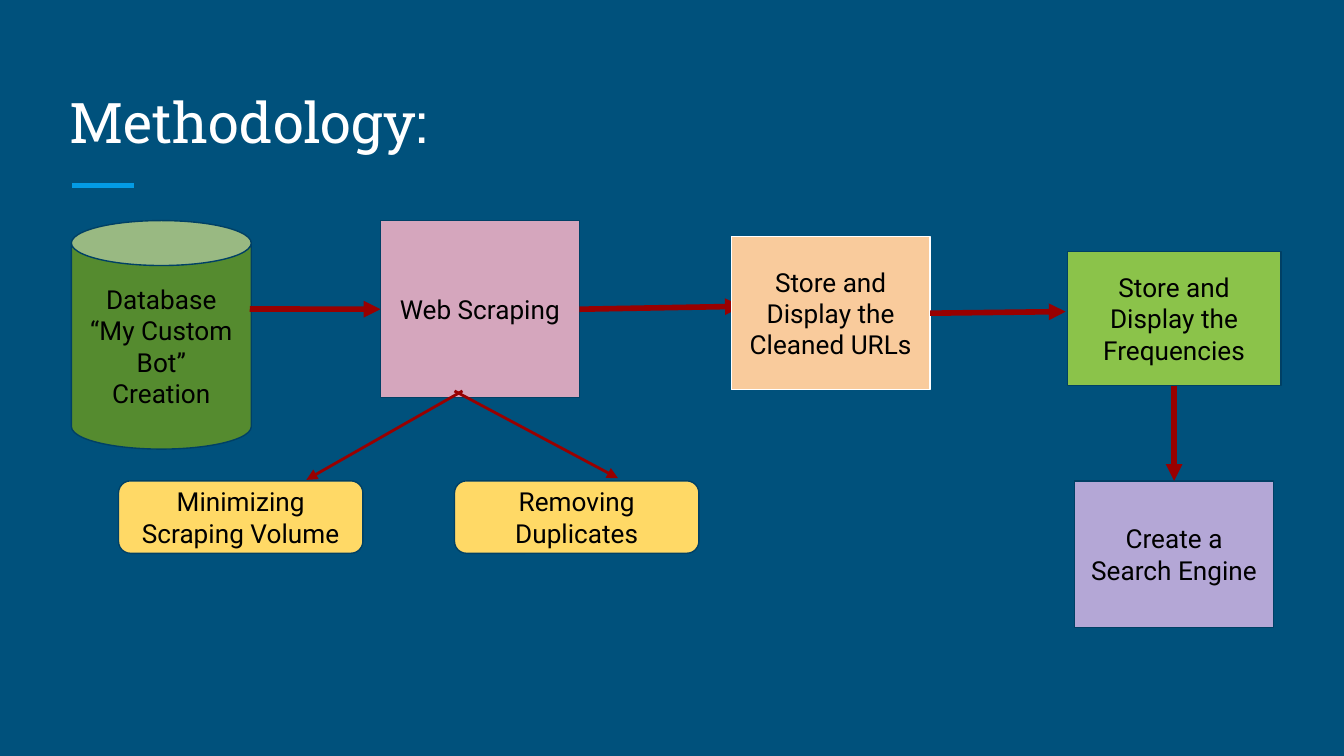
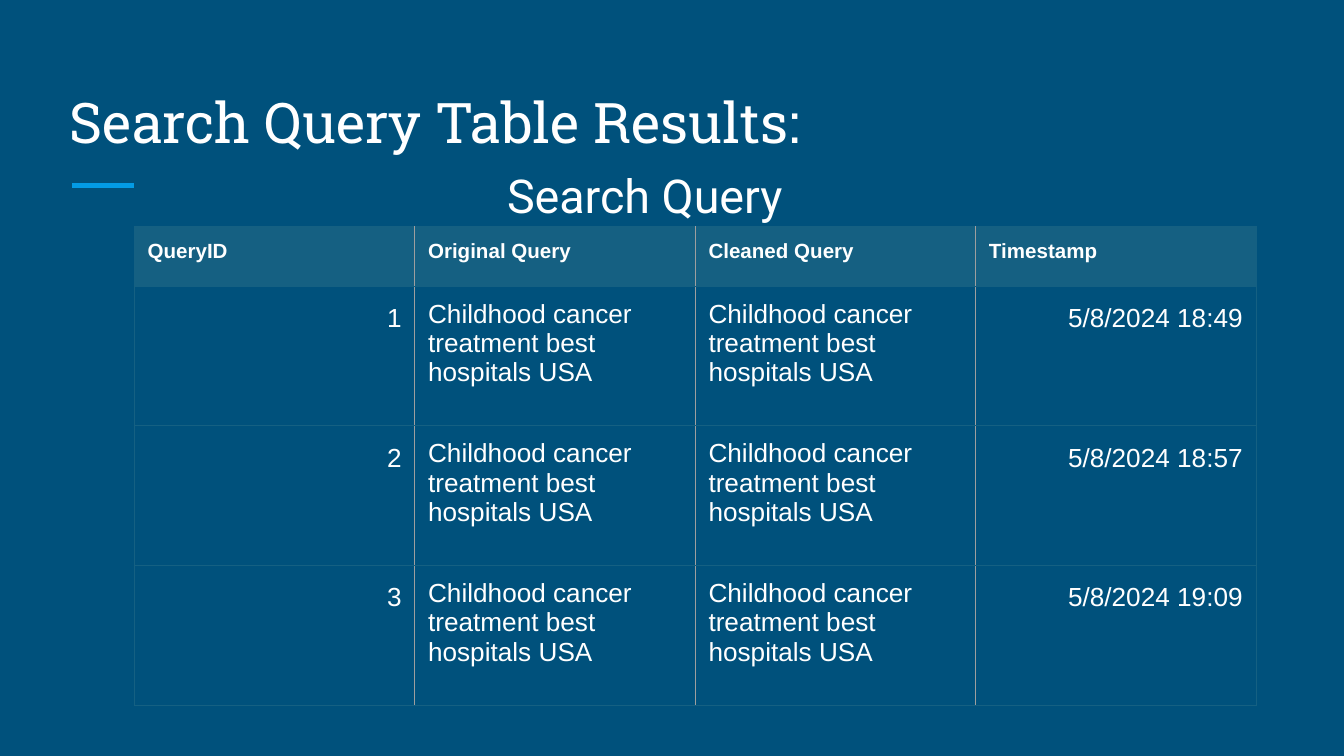
from dataclasses import dataclass

from lxml import etree
from pptx import Presentation
from pptx.dml.color import RGBColor
from pptx.enum.shapes import MSO_CONNECTOR, MSO_SHAPE
from pptx.enum.text import MSO_ANCHOR, MSO_AUTO_SIZE, PP_ALIGN
from pptx.oxml.ns import qn
from pptx.util import Cm, Pt

RECT, ROUND, CAN = MSO_SHAPE.RECTANGLE, MSO_SHAPE.ROUNDED_RECTANGLE, MSO_SHAPE.CAN
STRAIGHT = MSO_CONNECTOR.STRAIGHT
LEFT, CENTER, RIGHT = PP_ALIGN.LEFT, PP_ALIGN.CENTER, PP_ALIGN.RIGHT
TOP, MIDDLE, BOTTOM = MSO_ANCHOR.TOP, MSO_ANCHOR.MIDDLE, MSO_ANCHOR.BOTTOM
NO_FIT = MSO_AUTO_SIZE.NONE
TOP_SIDE, LEFT_SIDE, LOW_SIDE, RIGHT_SIDE = range(4)


@dataclass(frozen=True)
class Theme:
    back: str = "00517C"
    accent: str = "039BE5"
    light: str = "FFFFFF"
    dark: str = "000000"
    edge: str = "004065"
    arrow: str = "980000"
    pink: str = "D5A6BD"
    green: str = "558B2F"
    lime: str = "8BC34A"
    yellow: str = "FFD966"
    peach: str = "F9CB9C"
    purple: str = "B4A7D6"
    head: str = "156082"
    rule: str = "9E9E9E"
    serif: str = "Roboto Slab"
    sans: str = "Roboto"
    grid: str = "Arial"
    title: int = 30
    caption: int = 25
    body: int = 14
    label: int = 11


THEME = Theme()
PAD = Cm(0.25)


def rgb(code):
    return RGBColor.from_string(code)


def apply(target, form):
    for name, value in form.items():
        setattr(target, name, value)


def write(frame, text, font, size, color, align=LEFT, anchor=TOP):
    apply(frame, {"word_wrap": True, "auto_size": NO_FIT, "vertical_anchor": anchor,
                  "margin_left": PAD, "margin_right": PAD,
                  "margin_top": PAD, "margin_bottom": PAD})
    style(frame, text, font, size, color, align)


def style(frame, text, font, size, color, align, bold=False, gap=1.0):
    """Fill the first paragraph of a frame and format it."""
    frame.text = text
    para = frame.paragraphs[0]
    apply(para, {"alignment": align, "line_spacing": gap})
    apply(para.font, {"name": font, "size": Pt(size), "bold": bold})
    para.font.color.rgb = rgb(color)


def add_line(slide, start, end, color, width):
    line = slide.shapes.add_connector(STRAIGHT, *map(Cm, start + end))
    line.line.color.rgb = rgb(color)
    line.line.width = Pt(width)
    etree.SubElement(line._element.spPr, qn("a:effectLst"))
    return line


def add_arrow(slide, start, end, width=3):
    """Draw an arrow; each end is a point or a (shape, side) pair."""
    spots = [(0, 0) if hasattr(spot[0], "shape_id") else spot for spot in (start, end)]
    line = add_line(slide, *spots, THEME.arrow, width)
    joins = (line.begin_connect, line.end_connect)
    for spot, join in zip((start, end), joins):
        if hasattr(spot[0], "shape_id"):
            join(*spot)
    etree.SubElement(line._element.spPr.find(qn("a:ln")), qn("a:tailEnd"), type="triangle")


def add_box(slide, kind, place, text, fill, edge=THEME.edge):
    box = slide.shapes.add_shape(kind, *map(Cm, place))
    box.shadow.inherit = False
    box.fill.solid()
    box.fill.fore_color.rgb = rgb(fill)
    box.line.color.rgb = rgb(edge)
    box.line.width = Pt(0.75)
    write(box.text_frame, text, THEME.sans, THEME.body, THEME.dark, CENTER, MIDDLE)
    return box


def add_slide(deck, text):
    """Add a slide with its title and accent line."""
    slide = deck.slides.add_slide(deck.slide_layouts[5])
    title = slide.shapes.title
    apply(title, {"left": Cm(1.07), "top": Cm(0.64), "width": Cm(23.24), "height": Cm(2.54)})
    write(title.text_frame, text, THEME.serif, THEME.title, THEME.light, anchor=BOTTOM)
    add_line(slide, (1.37, 3.51), (2.54, 3.51), THEME.accent, 3)
    return slide


def set_edges(cell, first, last):
    """Give a cell its borders; outer sides take the header colour."""
    outer, inner = (THEME.head, 0.6), (THEME.rule, 0.75)
    edges = {"lnL": outer if first else inner, "lnR": outer if last else inner,
             "lnT": outer, "lnB": outer}
    props = cell._tc.get_or_add_tcPr()
    for spot, (tag, (color, width)) in enumerate(edges.items()):
        line = etree.Element(qn("a:" + tag), w=str(Pt(width)))
        fill = etree.SubElement(line, qn("a:solidFill"))
        etree.SubElement(fill, qn("a:srgbClr"), val=color)
        props.insert(spot, line)


def add_grid(slide, place, rows, wide, high):
    """Add a table; high holds the header height and the body height."""
    count = len(rows[0])
    tall = high[0] + high[1] * (len(rows) - 1)
    table = slide.shapes.add_table(len(rows), count, *map(Cm, place),
                                   Cm(wide * count), Cm(tall)).table
    apply(table, {"first_row": False, "horz_banding": False})
    for col in table.columns:
        col.width = Cm(wide)
    for r, row in enumerate(rows):
        head = r == 0
        table.rows[r].height = Cm(high[0] if head else high[1])
        for c, text in enumerate(row):
            cell = table.cell(r, c)
            side = c in (0, count - 1) and not head
            apply(cell, {"margin_left": PAD, "margin_right": PAD,
                         "margin_top": PAD, "margin_bottom": PAD})
            style(cell.text_frame, text, THEME.grid, THEME.label if head else THEME.body,
                  THEME.light, RIGHT if side else LEFT, head, 1.15 if side else 1.0)
            if head:
                cell.fill.solid()
                cell.fill.fore_color.rgb = rgb(THEME.head)
            else:
                cell.fill.background()
            set_edges(cell, c == 0, c == count - 1)


def draw_method(deck):
    slide = add_slide(deck, "Methodology:")
    web = add_box(slide, RECT, (7.19, 4.17, 3.76, 3.35), "Web Scraping", THEME.pink)
    add_box(slide, CAN, (1.35, 4.17, 3.4, 4.32),
            "Database “My Custom Bot” Creation", THEME.green)
    add_arrow(slide, (4.72, 5.84), (web, LEFT_SIDE))
    add_arrow(slide, (web, RIGHT_SIDE), (14.02, 5.79))

    steps = ("Minimizing Scraping Volume", "Removing Duplicates")
    for i, text in enumerate(steps):
        add_box(slide, ROUND, (2.24 + 6.35 * i, 9.09, 4.62, 1.37), text, THEME.yellow)
    add_arrow(slide, (8.59, 7.39), (11.68, 9.04), 1.5)
    add_arrow(slide, (8.74, 7.39), (5.79, 9.07), 1.5)

    clean = add_box(slide, RECT, (13.82, 4.47, 3.76, 2.9),
                    "Store and Display the Cleaned URLs", THEME.peach, THEME.light)
    add_arrow(slide, (clean, RIGHT_SIDE), (20.14, 5.89))
    counts = add_box(slide, RECT, (20.17, 4.75, 4.04, 2.54),
                     "Store and Display the Frequencies", THEME.lime)
    engine = add_box(slide, RECT, (20.31, 9.09, 3.76, 2.77),
                     "Create a Search Engine", THEME.purple)
    add_arrow(slide, (counts, LOW_SIDE), (engine, TOP_SIDE))


def draw_results(deck):
    slide = add_slide(deck, "Search Query Table Results:")
    query = "Childhood cancer treatment best hospitals USA"
    times = ("18:49", "18:57", "19:09")
    rows = [("QueryID", "Original Query", "Cleaned Query", "Timestamp")]
    rows += [(str(n), query, query, f"5/8/2024 {time}") for n, time in enumerate(times, 1)]
    add_grid(slide, (2.54, 4.29), rows, 5.3, (1.12, 2.64))
    box = slide.shapes.add_textbox(*map(Cm, (7.32, 2.9, 9.73, 1.27)))
    write(box.text_frame, "Search Query", THEME.sans, THEME.caption, THEME.light, CENTER)


def main():
    deck = Presentation()
    apply(deck, {"slide_width": Cm(25.4), "slide_height": Cm(14.29)})
    fill = deck.slide_master.background.fill
    fill.solid()
    fill.fore_color.rgb = rgb(THEME.back)
    draw_method(deck)
    draw_results(deck)
    deck.save("out.pptx")


if __name__ == "__main__":
    main()
